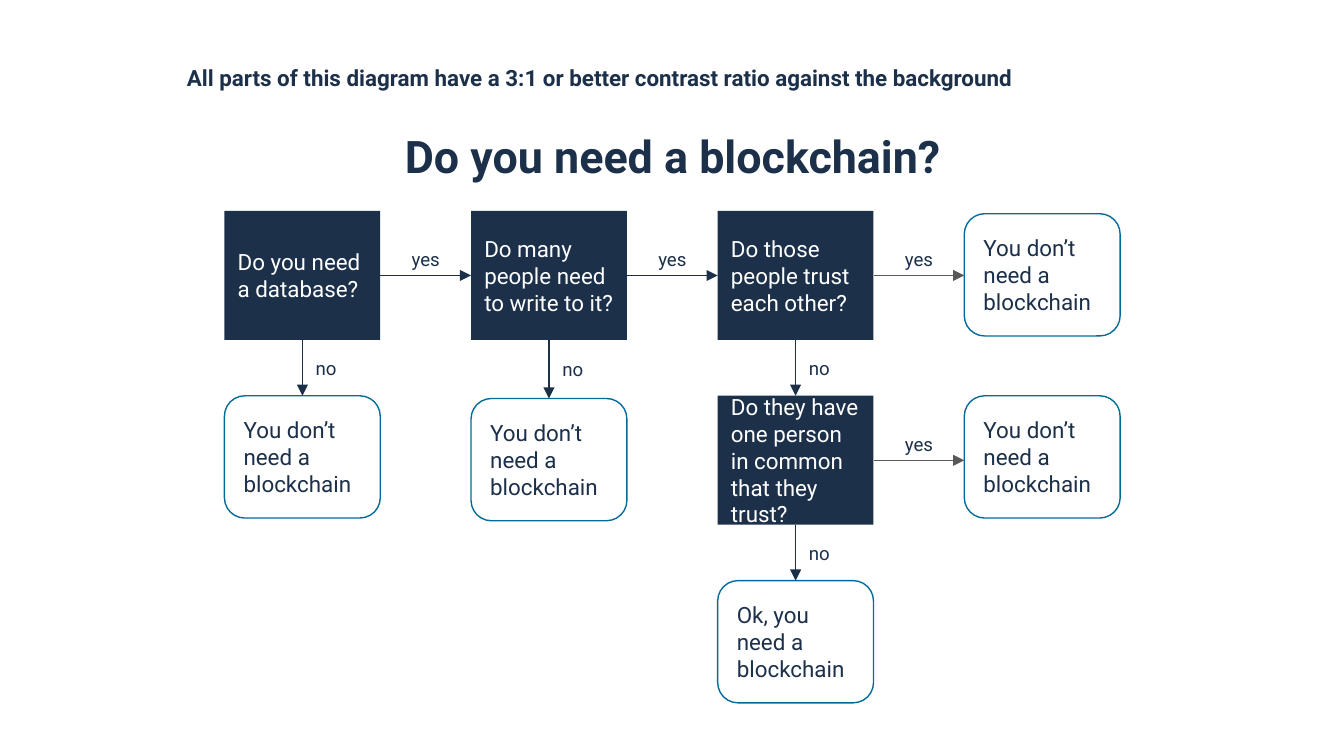
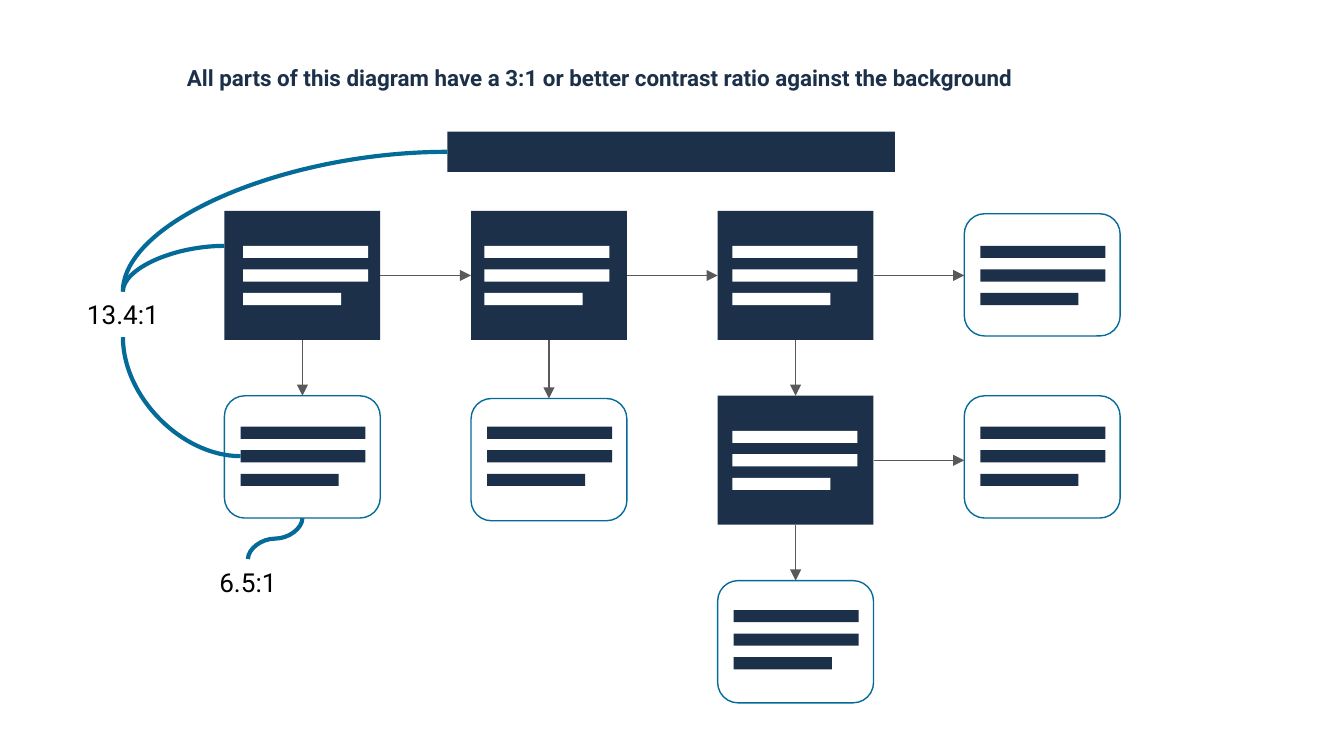
from dataclasses import dataclass

from lxml.etree import SubElement
from pptx import Presentation
from pptx.dml.color import RGBColor
from pptx.enum.shapes import MSO_CONNECTOR, MSO_SHAPE
from pptx.enum.text import MSO_ANCHOR, MSO_AUTO_SIZE, PP_ALIGN
from pptx.oxml.ns import qn
from pptx.util import Inches, Pt

HEADING = "All parts of this diagram have a 3:1 or better contrast ratio against the background"
QUESTION = "Do you need a blockchain?"
STOP = "You don’t need a blockchain"

# name: (kind, column, row, drop below row top, text, bar inset)
NODES = {
    "database": ("ask", 0, 0, 0, "Do you need a database?", (0.14, 0.26)),
    "writers": ("ask", 1, 0, 0, "Do many people need to write to it?", (0.1, 0.26)),
    "trust": ("ask", 2, 0, 0, "Do those people trust each other?", (0.11, 0.26)),
    "common": ("ask", 2, 1, 0, "Do they have one person in common that they trust?", (0.11, 0.26)),
    "no database": ("end", 0, 1, 0, STOP, (0.12, 0.23)),
    "one writer": ("end", 1, 1, 0.02, STOP, (0.12, 0.21)),
    "shared person": ("end", 3, 1, 0, STOP, (0.12, 0.23)),
    "all trusted": ("end", 3, 0, 0.02, STOP, (0.12, 0.24)),
    "blockchain": ("end", 2, 2, 0, "Ok, you need a blockchain", (0.12, 0.22)),
}
LINKS = [
    ("database", "writers", "yes"),
    ("writers", "trust", "yes"),
    ("trust", "all trusted", "yes"),
    ("writers", "one writer", "no"),
    ("database", "no database", "no"),
    ("trust", "common", "no"),
    ("common", "shared person", "yes"),
    ("common", "blockchain", "no"),
]
RATIOS = {"text": ("13.4:1", 0.51, 2.17), "border": ("6.5:1", 1.44, 4.16)}

LEFT, TOP = 1.67, 1.57
COL_STEP, ROW_STEP = 1.835, 1.375
NODE_W = 1.16
NODE_H = {"ask": 0.96, "end": 0.91}
LABEL_W, LABEL_H = 0.58, 0.25
RATIO_W, RATIO_H = 0.81, 0.34
BAR_WIDTHS, BAR_H, BAR_STEP = (0.93, 0.93, 0.73), 0.09, 0.175
TITLE_BAR = (3.33, 0.98, 3.33, 0.3)


@dataclass(frozen=True)
class Theme:
    font: str = "Roboto"
    navy: str = "1C304A"
    blue: str = "046B99"
    grey: str = "595959"
    white: str = "FFFFFF"
    black: str = "000000"
    title: int = 24
    ratio: int = 14
    body: int = 12
    label: int = 10
    thin: float = 0.75
    thick: float = 2.25


T = Theme()


def rgb(color):
    return RGBColor.from_string(color)


def write(shape, text, size, color, bold=False, align=PP_ALIGN.LEFT):
    tf = shape.text_frame
    tf.word_wrap = True
    tf.auto_size = MSO_AUTO_SIZE.NONE
    tf.vertical_anchor = MSO_ANCHOR.MIDDLE
    tf.margin_left = tf.margin_right = tf.margin_top = tf.margin_bottom = Inches(0.1)
    p = tf.paragraphs[0]
    p.alignment = align
    r = p.add_run()
    r.text = text
    r.font.name, r.font.size, r.font.bold = T.font, Pt(size), bold
    r.font.color.rgb = rgb(color)
    return p


def add_text(s, box, text, size, color, bold=False, align=PP_ALIGN.CENTER):
    write(s.shapes.add_textbox(*map(Inches, box)), text, size, color, bold, align)


def add_box(s, box, fill=None, line=None, kind=MSO_SHAPE.RECTANGLE):
    sp = s.shapes.add_shape(kind, *map(Inches, box))
    sp.shadow.inherit = False
    if fill:
        sp.fill.solid()
        sp.fill.fore_color.rgb = rgb(fill)
    else:
        sp.fill.background()
    if line:
        sp.line.color.rgb, sp.line.width = rgb(line), Pt(T.thin)
    else:
        sp.line.fill.background()
    return sp


def add_line(s, start, end, color, width, kind=MSO_CONNECTOR.STRAIGHT):
    c = s.shapes.add_connector(kind, *map(Inches, (*start, *end)))
    c.line.color.rgb, c.line.width = rgb(color), Pt(width)
    SubElement(c._element.spPr, qn("a:effectLst"))
    return c


def add_arrow(s, start, end, color):
    c = add_line(s, start, end, color, T.thin)
    SubElement(c.line._get_or_add_ln(), qn("a:tailEnd"), type="triangle")


def add_arc(s, start, end):
    c = add_line(s, start, end, T.blue, T.thick, MSO_CONNECTOR.CURVE)
    c._element.spPr.find(qn("a:prstGeom")).set("prst", "curvedConnector2")


def add_upright_wave(s, start, end):
    (x1, y1), (x2, y2) = start, end
    cx, cy = (x1 + x2) / 2, (y1 + y2) / 2
    w, h = y1 - y2, x2 - x1
    c = add_line(s, (cx - w / 2, cy - h / 2), (cx + w / 2, cy + h / 2),
                 T.blue, T.thick, MSO_CONNECTOR.CURVE)
    c._element.spPr.find(qn("a:xfrm")).set("rot", str(270 * 60000))


def node_box(name):
    kind, col, row, drop, *_ = NODES[name]
    return LEFT + col * COL_STEP, TOP + row * ROW_STEP + drop, NODE_W, NODE_H[kind]


def add_slide(prs):
    s = prs.slides.add_slide(prs.slide_layouts[5])
    title = s.shapes.title
    title.left, title.top, title.width, title.height = map(Inches, (1.29, 0.2, 6.86, 0.73))
    p = write(title, HEADING, T.body, T.navy, True)
    p.line_spacing, p.space_before, p.space_after = 1.15, Pt(0), Pt(16)
    return s


def add_nodes(s, with_text):
    for name, (kind, *_, text, _inset) in NODES.items():
        if kind == "ask":
            sp, color = add_box(s, node_box(name), fill=T.navy), T.white
        else:
            sp = add_box(s, node_box(name), line=T.blue, kind=MSO_SHAPE.ROUNDED_RECTANGLE)
            color = T.navy
        if with_text:
            write(sp, text, T.body, color)


def add_links(s, with_text):
    for source, target, answer in LINKS:
        x, y, w, h = node_box(source)
        tx, ty, *_ = node_box(target)
        color = T.navy if with_text else T.grey
        if answer == "yes":
            start, end = (x + w, y + h / 2), (tx, y + h / 2)
            at = (x + w + tx - LABEL_W) / 2, y + h / 2 - LABEL_H
            align = PP_ALIGN.CENTER
            if NODES[target][0] == "end":
                color = T.grey
        else:
            start, end = (x + w / 2, y + h), (x + w / 2, ty)
            at = x + w / 2, (y + h + ty - LABEL_H) / 2
            align = PP_ALIGN.LEFT
        add_arrow(s, start, end, color)
        if with_text:
            add_text(s, (*at, LABEL_W, LABEL_H), answer, T.label, T.navy, align=align)


def add_bars(s):
    for name, (kind, *_, (dx, dy)) in NODES.items():
        x, y, *_ = node_box(name)
        for i, width in enumerate(BAR_WIDTHS):
            add_box(s, (x + dx, y + dy + i * BAR_STEP, width, BAR_H),
                    fill=T.white if kind == "ask" else T.navy)


def add_ratios(s):
    for text, x, y in RATIOS.values():
        add_text(s, (x, y, RATIO_W, RATIO_H), text, T.ratio, T.black)
    _, x, y = RATIOS["text"]
    cx = x + RATIO_W / 2
    ask_x, ask_y, *_ = node_box("database")
    end_x, end_y, end_w, end_h = node_box("no database")
    dx, dy = NODES["no database"][-1]
    bar_x, bar_y, _, bar_h = TITLE_BAR
    add_arc(s, (bar_x, bar_y + bar_h / 2), (cx, y))
    add_arc(s, (ask_x, ask_y + 0.26), (cx, y))
    add_arc(s, (end_x + dx, end_y + dy + BAR_STEP + BAR_H / 2), (cx, y + RATIO_H))
    _, x, y = RATIOS["border"]
    add_upright_wave(s, (x + RATIO_W / 2, y), (end_x + end_w / 2, end_y + end_h))


def main():
    prs = Presentation()
    prs.slide_width = Inches(10)
    prs.slide_height = prs.slide_width * 9 // 16

    s = add_slide(prs)
    add_nodes(s, True)
    add_links(s, True)
    add_text(s, (2.52, 0.93, 4.97, 0.46), QUESTION, T.title, T.navy, True)

    s = add_slide(prs)
    add_nodes(s, False)
    add_links(s, False)
    add_bars(s)
    add_box(s, TITLE_BAR, fill=T.navy)
    add_ratios(s)

    prs.save("out.pptx")


if __name__ == "__main__":
    main()
